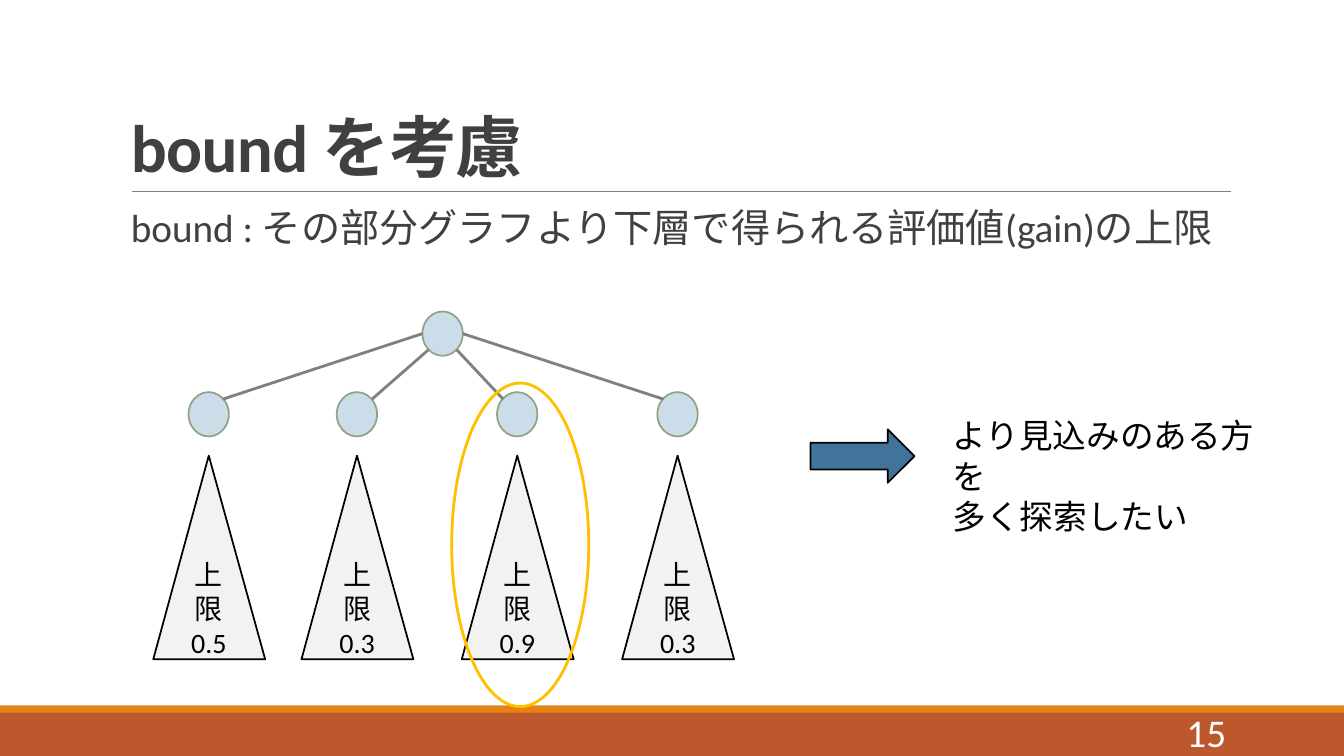
from lxml.etree import SubElement
from pptx import Presentation
from pptx.dml.color import RGBColor as Color
from pptx.enum.shapes import MSO_CONNECTOR as Link, MSO_SHAPE as Kind
from pptx.enum.text import MSO_ANCHOR as Anchor, PP_ALIGN as Align
from pptx.oxml.ns import qn
from pptx.util import Emu, Pt

PX = 9144
THEME = {
    "font": "Calibri",
    "ink": "000000", "text": "404040", "white": "FFFFFF", "rule": "808080",
    "footer": "BD582C", "accent": "E48312",
    "node": "CCDDEA", "node_line": "94A088", "subtree": "F2F2F2",
    "arrow": "40749B", "highlight": "FFC000",
    "title_size": 48, "body_size": 28, "note_size": 24, "bound_size": 20,
}

deck = Presentation()
deck.slide_width, deck.slide_height = Emu(1333 * PX), Emu(750 * PX)
page = deck.slides.add_slide(deck.slide_layouts[6])


def add_form(kind, area, fill=None, line=None, weight=1.25):
    left, top, width, height = [Emu(n * PX) for n in area]
    if kind is None:
        return page.shapes.add_textbox(left, top, width, height)
    shape = page.shapes.add_shape(kind, left, top, width, height)
    shape.shadow.inherit = False
    if fill:
        shape.fill.solid()
        shape.fill.fore_color.rgb = Color.from_string(THEME[fill])
    else:
        shape.fill.background()
    if line:
        shape.line.color.rgb = Color.from_string(THEME[line])
        shape.line.width = Pt(weight)
    else:
        shape.line.fill.background()
    return shape


def write(shape, lines, size, color, frame={}, layout={}, bold=False):
    box = shape.text_frame
    for name, value in {"word_wrap": True, **frame}.items():
        setattr(box, name, value)
    for index, line in enumerate(lines):
        para = box.add_paragraph() if index else box.paragraphs[0]
        for name, value in layout.items():
            setattr(para, name, value)
        span = para.add_run()
        span.text = line
        looks = {"name": THEME["font"], "size": Pt(THEME[size]), "bold": bold}
        for name, value in looks.items():
            setattr(span.font, name, value)
        span.font.color.rgb = Color.from_string(THEME[color])


add_form(Kind.RECTANGLE, (0, 700, 1333, 50), "footer")
add_form(Kind.RECTANGLE, (0, 700, 1333, 7), "accent")

title = add_form(None, (120, 31, 1100, 159))
write(title, ["bound を考慮"], "title_size", "text",
      {"vertical_anchor": Anchor.BOTTOM}, {"line_spacing": 0.85}, True)
title.text_frame.paragraphs[0].runs[0].font._element.set("spc", "-50")

definition = add_form(None, (120, 202, 1100, 470))
write(definition, ["bound : その部分グラフより下層で得られる評価値(gain)の上限"],
      "body_size", "text", {"margin_left": Emu(10 * PX), "margin_right": 0},
      {"line_spacing": 0.9, "space_after": Pt(2)})

number = add_form(None, (1083, 706, 143, 40))
write(number, ["15"], "body_size", "white",
      {"vertical_anchor": Anchor.MIDDLE}, {"alignment": Align.RIGHT})

NODE_SIZE = (40, 44)
NODE_TOP = 389
branches = [
    (187, "0.5", (419, 331), 34),
    (334, "0.3", (425, 347), 35),
    (493, "0.9", (453, 347), 6),
    (652, "0.3", (459, 331), 6),
]
rules = [((131, 190), (1221, 190), 0.5)]
add_form(Kind.OVAL, (419, 309, *NODE_SIZE), "node", "node_line")
for left, bound, root_point, reach in branches:
    add_form(Kind.OVAL, (left, NODE_TOP, *NODE_SIZE), "node", "node_line")
    rules.append((root_point, (left + reach, NODE_TOP + 7), 2))
    subtree = add_form(Kind.ISOSCELES_TRIANGLE, (left - 35, 452, 111, 202),
                       "subtree", "ink")
    subtree.adjustments[0] = 0.496
    write(subtree, ["上限", bound], "bound_size", "ink",
          {"vertical_anchor": Anchor.MIDDLE}, {"alignment": Align.CENTER})

for start, end, weight in rules:
    rule = page.shapes.add_connector(
        Link.STRAIGHT, *[Emu(n * PX) for n in (*start, *end)])
    rule.line.color.rgb = Color.from_string(THEME["rule"])
    rule.line.width = Pt(weight)
    SubElement(rule._element.spPr, qn("a:effectLst"))

add_form(Kind.RIGHT_ARROW, (804, 426, 103, 53), "arrow", "ink")
note = add_form(None, (935, 407, 332, 91))
write(note, ["より見込みのある方を", "多く探索したい"], "note_size", "ink")
add_form(Kind.OVAL, (448, 380, 136, 321), None, "highlight", 2)

deck.save("out.pptx")
